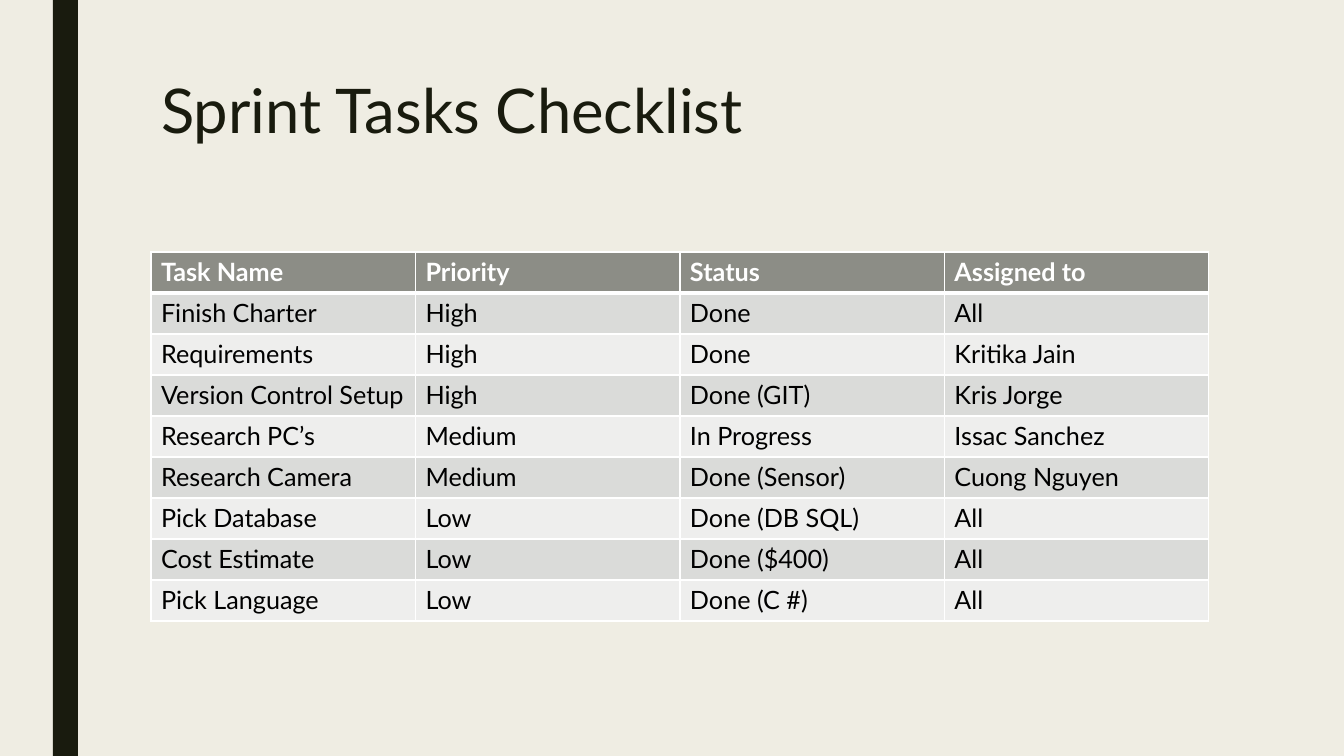
"""Builds the sprint tasks checklist slide."""
from dataclasses import dataclass

from lxml import etree
from pptx import Presentation
from pptx.dml.color import RGBColor
from pptx.enum.shapes import MSO_SHAPE
from pptx.enum.text import MSO_ANCHOR, PP_ALIGN
from pptx.oxml.ns import qn
from pptx.util import Emu, Pt

RECTANGLE = MSO_SHAPE.RECTANGLE
TOP = MSO_ANCHOR.TOP
LEFT = PP_ALIGN.LEFT


@dataclass(frozen=True)
class Theme:
    font: str = "Lato"
    background: str = "EFEDE3"
    dark: str = "191B0E"
    header: str = "8C8D86"
    header_text: str = "FFFFFF"
    bands: tuple = ("DADBD9", "EEEEED")
    body_text: str = "000000"
    border: str = "FFFFFF"
    title_size: int = 44
    table_size: int = 18


THEME = Theme()
EMU_PER_PIXEL = 914400 / 100.8
TASKS = [
    ("Task Name", "Priority", "Status", "Assigned to"),
    ("Finish Charter", "High", "Done", "All"),
    ("Requirements", "High", "Done", "Kritika Jain"),
    ("Version Control Setup", "High", "Done (GIT)", "Kris Jorge"),
    ("Research PC’s", "Medium", "In Progress", "Issac Sanchez"),
    ("Research Camera", "Medium", "Done (Sensor)", "Cuong Nguyen"),
    ("Pick Database", "Low", "Done (DB SQL)", "All"),
    ("Cost Estimate", "Low", "Done ($400)", "All"),
    ("Pick Language", "Low", "Done (C #)", "All"),
]


def px(pixels):
    return Emu(round(pixels * EMU_PER_PIXEL))


def style_text(paragraph, size, color, bold=False):
    paragraph.alignment = LEFT
    for run in paragraph.runs:
        run.font.name = THEME.font
        run.font.size = Pt(size)
        run.font.bold = bold
        run.font.color.rgb = RGBColor.from_string(color)


deck = Presentation()
deck.slide_width, deck.slide_height = px(1344), px(756)
slide = deck.slides.add_slide(deck.slide_layouts[5])
slide.background.fill.solid()
slide.background.fill.fore_color.rgb = RGBColor.from_string(THEME.background)

side_bar = slide.shapes.add_shape(RECTANGLE, px(53), 0, px(25), px(756))
side_bar.shadow.inherit = False
side_bar.fill.solid()
side_bar.fill.fore_color.rgb = RGBColor.from_string(THEME.dark)
side_bar.line.fill.background()

title = slide.shapes.title
title.left, title.top, title.width, title.height = px(151), px(76), px(1058), px(163)
title.text_frame.text = "Sprint Tasks Checklist"
title.text_frame.vertical_anchor = TOP
heading = title.text_frame.paragraphs[0]
heading.line_spacing = 0.89
style_text(heading, THEME.title_size, THEME.dark)

checklist = slide.shapes.add_table(
    len(TASKS), len(TASKS[0]), px(151), px(252), px(1058), px(41 * len(TASKS))
).table

for row, task in enumerate(TASKS):
    is_header = row == 0
    fill = THEME.header if is_header else THEME.bands[(row - 1) % 2]
    color = THEME.header_text if is_header else THEME.body_text
    for column, value in enumerate(task):
        cell = checklist.cell(row, column)
        cell.text = value
        style_text(cell.text_frame.paragraphs[0], THEME.table_size, color, is_header)
        cell_properties = cell._tc.get_or_add_tcPr()
        for side in ("lnL", "lnR", "lnT", "lnB"):
            thick = (side == "lnB" and is_header) or (side == "lnT" and row == 1)
            border = etree.SubElement(cell_properties, qn(f"a:{side}"), w=str(Pt(3 if thick else 1)))
            line_fill = etree.SubElement(border, qn("a:solidFill"))
            etree.SubElement(line_fill, qn("a:srgbClr"), val=THEME.border)
        cell.fill.solid()
        cell.fill.fore_color.rgb = RGBColor.from_string(fill)

deck.save("out.pptx")
